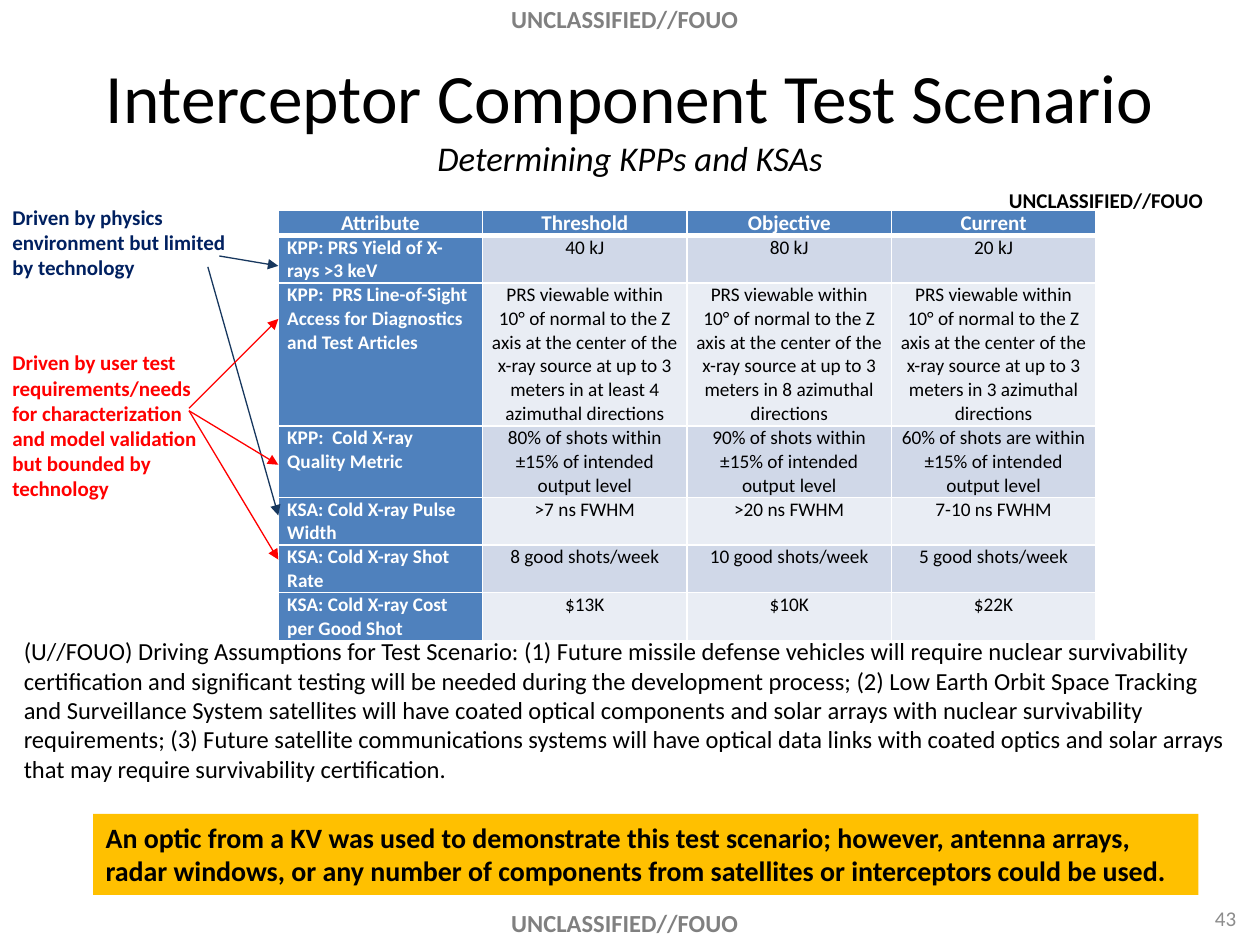
from typing import NamedTuple, Optional

from lxml.etree import SubElement
from pptx import Presentation
from pptx.dml.color import RGBColor
from pptx.enum.shapes import MSO_CONNECTOR, MSO_SHAPE
from pptx.enum.text import MSO_ANCHOR as Anchor, PP_ALIGN as Align
from pptx.oxml.ns import qn
from pptx.util import Cm, Pt

COLORS = {
    "black": "000000", "white": "FFFFFF", "gray": "808080", "light_gray": "8C8C8C",
    "navy": "002060", "dark_blue": "17375E", "red": "FF0000", "gold": "FFC000",
    "head": "4F81BD", "band_dark": "D0D8E8", "band_light": "E9EDF4",
}
MARKING = "UNCLASSIFIED//FOUO"


class Label(NamedTuple):
    text: str
    box: tuple  # left, top, width, height in cm
    size: float
    color: str = "black"
    bold: bool = True
    align: Align = Align.LEFT
    anchor: Anchor = Anchor.TOP
    fill: Optional[str] = None


class Arrow(NamedTuple):
    start: tuple
    end: tuple
    color: str


class Row(NamedTuple):
    lines: int
    cells: tuple


def rgb(name: str) -> RGBColor:
    return RGBColor.from_string(COLORS[name])


def format_run(r, size: float, color: str, **values) -> None:
    for key, value in {"name": "Calibri", "size": Pt(size), **values}.items():
        setattr(r.font, key, value)
    r.font.color.rgb = rgb(color)


def add_label(slide, label: Label):
    box = [Cm(v) for v in label.box]
    if label.fill:
        sp = slide.shapes.add_shape(MSO_SHAPE.RECTANGLE, *box)
        sp.shadow.inherit = False
        sp.fill.solid()
        sp.fill.fore_color.rgb = rgb(label.fill)
        sp.line.fill.background()
    else:
        sp = slide.shapes.add_textbox(*box)
    tf = sp.text_frame
    tf.word_wrap = True
    tf.vertical_anchor = label.anchor
    p = tf.paragraphs[0]
    p.alignment = label.align
    r = p.add_run()
    r.text = label.text
    format_run(r, label.size, label.color, bold=label.bold)
    return sp


def add_arrow(slide, arrow: Arrow) -> None:
    points = [Cm(v) for v in arrow.start + arrow.end]
    line = slide.shapes.add_connector(MSO_CONNECTOR.STRAIGHT, *points)
    line.line.width = Pt(0.75)
    line.line.color.rgb = rgb(arrow.color)
    SubElement(line.line._get_or_add_ln(), qn("a:tailEnd"), type="triangle")
    SubElement(line._element.spPr, qn("a:effectLst"))


def add_borders(cell, bottom: float, top: float) -> None:
    """Draw white borders; they must precede the cell's fill in the XML."""
    props = cell._tc.get_or_add_tcPr()
    for side, width in {"L": 1, "R": 1, "T": top, "B": bottom}.items():
        ln = SubElement(props, qn(f"a:ln{side}"), w=str(Pt(width)))
        fill = SubElement(ln, qn("a:solidFill"))
        SubElement(fill, qn("a:srgbClr"), val=COLORS["white"])


def add_attribute_table(slide, rows: list) -> None:
    n_cols, col_width, line_height = len(rows[0].cells), 4.12, 0.48
    height = line_height * sum(row.lines for row in rows)
    table = slide.shapes.add_table(
        len(rows), n_cols, Cm(5.61), Cm(4.24), Cm(col_width * n_cols), Cm(height)
    ).table
    table.horz_banding = False
    for i, row in enumerate(rows):
        table.rows[i].height = Cm(line_height * row.lines)
        band = "band_dark" if i % 2 else "band_light"
        for j, text in enumerate(row.cells):
            cell = table.cell(i, j)
            heading = i == 0 or j == 0
            margins = {"margin_left": 0.18, "margin_right": 0.18,
                       "margin_top": 0, "margin_bottom": 0}
            for key, value in margins.items():
                setattr(cell, key, Cm(value))
            add_borders(cell, bottom=3 if i == 0 else 1, top=3 if i == 1 else 1)
            cell.fill.solid()
            cell.fill.fore_color.rgb = rgb("head" if heading else band)
            p = cell.text_frame.paragraphs[0]
            p.alignment = Align.LEFT if i and j == 0 else Align.CENTER
            r = p.add_run()
            r.text = text
            format_run(r, 11 if i else 12, "white" if heading else "black", bold=heading)


def line_of_sight(directions: str) -> str:
    return ("PRS viewable within 10° of normal to the Z axis at the center of the "
            f"x-ray source at up to 3 meters in {directions} azimuthal directions")


def quality(share: str) -> str:
    return f"{share} within ±15% of intended output level"


ROWS = [
    Row(1, ("Attribute", "Threshold", "Objective", "Current")),
    Row(2, ("KPP: PRS Yield of X-rays >3 keV", "40 kJ", "80 kJ", "20 kJ")),
    Row(6, ("KPP:  PRS Line-of-Sight Access for Diagnostics and Test Articles",
            *map(line_of_sight, ("at least 4", "8", "3")))),
    Row(3, ("KPP:  Cold X-ray Quality Metric",
            *map(quality, ("80% of shots", "90% of shots", "60% of shots are")))),
    Row(2, ("KSA: Cold X-ray Pulse Width", ">7 ns FWHM", ">20 ns FWHM", "7-10 ns FWHM")),
    Row(2, ("KSA: Cold X-ray Shot Rate",
            *(f"{n} good shots/week" for n in (8, 10, 5)))),
    Row(2, ("KSA: Cold X-ray Cost per Good Shot", "$13K", "$10K", "$22K")),
]

TITLE = Label("Interceptor Component Test Scenario", (1.27, 0.76, 22.86, 3.18), 39.6,
              bold=False, align=Align.CENTER, anchor=Anchor.MIDDLE)

LABELS = [
    *(Label(MARKING, (8.05, top, 9.09, 0.86), 14, "gray", align=Align.CENTER, fill="white")
      for top in (-0.05, 18.19)),
    Label("43", (19.25, 18, 5.92, 1.02), 12, "light_gray", False, Align.RIGHT, Anchor.MIDDLE),
    Label("Driven by physics environment but limited by technology",
          (0, 3.99, 5.08, 1.8), 12, "navy"),
    Label("Driven by user test requirements/needs for characterization and model "
          "validation but bounded by technology", (0, 6.93, 4.52, 3.33), 12, "red"),
    Label("(U//FOUO) Driving Assumptions for Test Scenario: (1) Future missile defense "
          "vehicles will require nuclear survivability certification and significant "
          "testing will be needed during the development process; (2) Low Earth Orbit "
          "Space Tracking and Surveillance System satellites will have coated optical "
          "components and solar arrays with nuclear survivability requirements; (3) Future "
          "satellite communications systems will have optical data links with coated "
          "optics and solar arrays that may require survivability certification.",
          (0.23, 12.7, 24.94, 3.25), 14, bold=False),
    Label("An optic from a KV was used to demonstrate this test scenario; however, antenna "
          "arrays, radar windows, or any number of components from satellites or "
          "interceptors could be used.", (1.88, 16.41, 22.28, 1.63), 16, fill="gold"),
    Label(MARKING, (20.09, 3.66, 5, 0.76), 12),
]

TABLE_LEFT = 5.61
ARROWS = [
    Arrow((4.42, 5.16), (TABLE_LEFT, 5.36), "dark_blue"),
    Arrow((4.19, 5.38), (TABLE_LEFT, 10.39), "dark_blue"),
    Arrow((3.81, 8.23), (TABLE_LEFT, 6.43), "red"),
    Arrow((3.81, 8.28), (TABLE_LEFT, 9.37), "red"),
    Arrow((3.81, 8.28), (TABLE_LEFT, 11.28), "red"),
]


def main() -> None:
    prs = Presentation()
    prs.slide_width, prs.slide_height = Cm(25.4), Cm(19.05)
    slide = prs.slides.add_slide(prs.slide_layouts[6])

    p = add_label(slide, TITLE).text_frame.paragraphs[0]
    p.add_line_break()
    r = p.add_run()
    r.text = "Determining KPPs and KSAs"
    format_run(r, 19.8, "black", italic=True)

    add_attribute_table(slide, ROWS)
    for label in LABELS:
        add_label(slide, label)
    for arrow in ARROWS:
        add_arrow(slide, arrow)
    prs.save("out.pptx")


if __name__ == "__main__":
    main()
